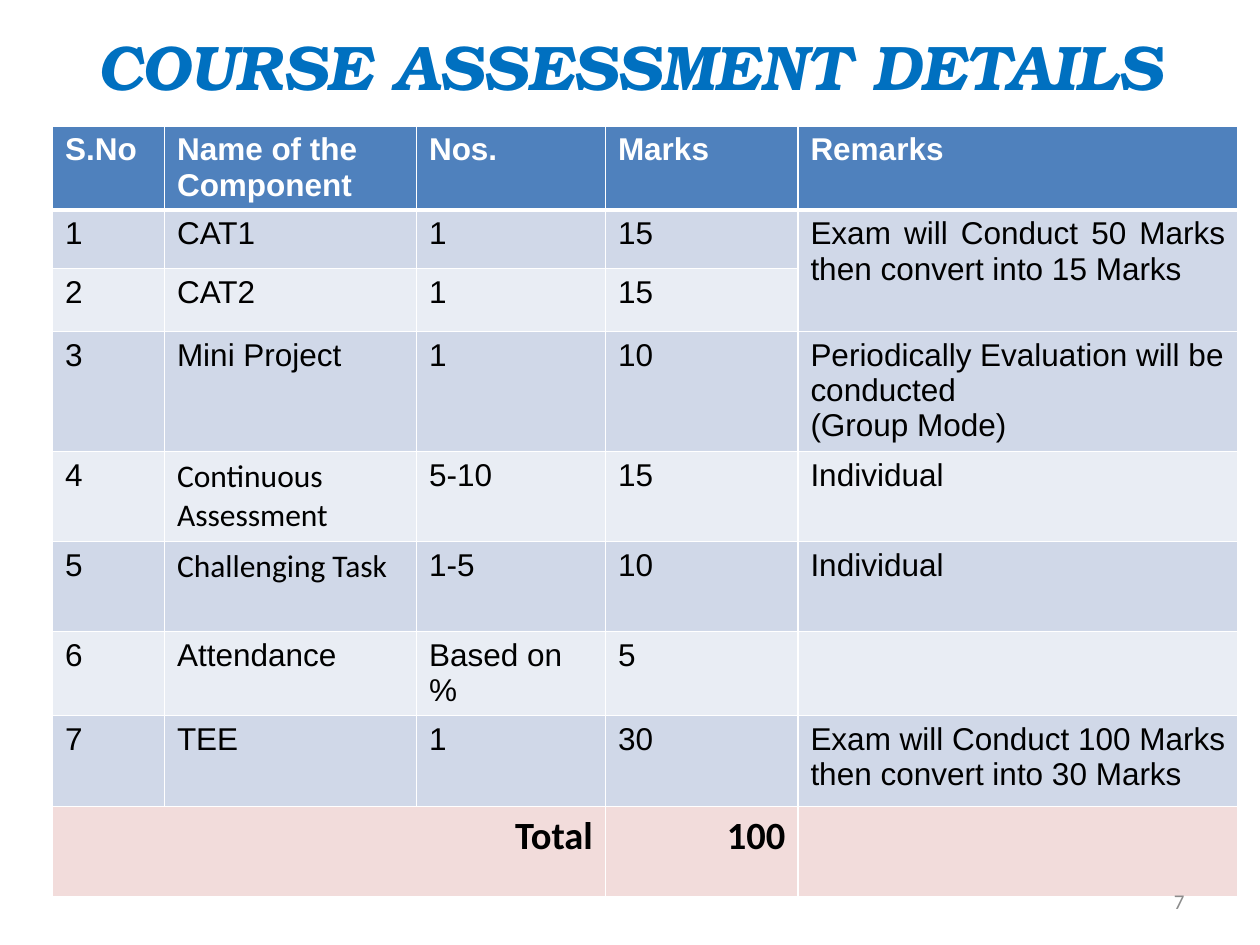
from lxml.etree import SubElement
from pptx import Presentation
from pptx.dml.color import RGBColor
from pptx.enum.text import MSO_ANCHOR, PP_ALIGN
from pptx.oxml.ns import qn
from pptx.util import Pt

WHITE = RGBColor(0xFF, 0xFF, 0xFF)
BLACK = RGBColor(0, 0, 0)
GRAY = RGBColor(0x8C, 0x8C, 0x8C)
TITLE_BLUE = RGBColor(0x00, 0x70, 0xC0)
HEADER_BLUE = RGBColor(0x4F, 0x81, 0xBD)
BANDS = [RGBColor(0xE9, 0xED, 0xF4), RGBColor(0xD0, 0xD8, 0xE8)]
TOTAL_PINK = RGBColor(0xF2, 0xDC, 0xDB)

COLUMN_WIDTHS = [64, 144, 108, 110, 251.5]
ROW_HEIGHTS = [48, 33.5, 36, 67.5, 51.5, 51.5, 48, 52, 51.5]
ROWS = [
    ["S.No", "Name of the\nComponent", "Nos.", "Marks", "Remarks"],
    ["1", "CAT1", "1", "15", "Exam will Conduct 50 Marks then convert into 15 Marks"],
    ["2", "CAT2", "1", "15", ""],
    ["3", "Mini Project", "1", "10",
     "Periodically Evaluation will be conducted\n(Group Mode)"],
    ["4", "Continuous Assessment", "5-10", "15", "Individual"],
    ["5", "Challenging Task", "1-5", "10", "Individual"],
    ["6", "Attendance", "Based on %", "5", ""],
    ["7", "TEE", "1", "30", "Exam will Conduct 100 Marks then convert into 30 Marks"],
    ["Total", "", "", "100", ""],
]
CALIBRI_COMPONENTS = {"Continuous Assessment", "Challenging Task"}
TOTAL_ROW = len(ROWS) - 1


def write(frame, text, font_name, size, color, bold=False, italic=False,
          align=PP_ALIGN.LEFT):
    """Fill a text frame with one paragraph per line of text."""
    for index, line in enumerate(text.split("\n")):
        paragraph = frame.paragraphs[0] if index == 0 else frame.add_paragraph()
        paragraph.alignment = align
        if line:
            run = paragraph.add_run()
            run.text = line
            run.font.name = font_name
            run.font.size = Pt(size)
            run.font.color.rgb = color
            run.font.bold = bold
            run.font.italic = italic


def add_borders(cell, top, bottom):
    """Draw white cell borders; must come before the fill, as the schema orders them."""
    properties = cell._tc.get_or_add_tcPr()
    for side, width in (("L", 1), ("R", 1), ("T", top), ("B", bottom)):
        line = SubElement(properties, qn(f"a:ln{side}"), w=str(Pt(width)))
        fill = SubElement(line, qn("a:solidFill"))
        SubElement(fill, qn("a:srgbClr"), val=str(WHITE))


presentation = Presentation()
presentation.slide_width = Pt(720)
presentation.slide_height = Pt(540)
slide = presentation.slides.add_slide(presentation.slide_layouts[6])

title = slide.shapes.add_textbox(Pt(36), Pt(12), Pt(648), Pt(50.4)).text_frame
title.word_wrap = True
title.vertical_anchor = MSO_ANCHOR.MIDDLE
write(title, "COURSE ASSESSMENT DETAILS", "TeX Gyre Bonum", 36, TITLE_BLUE,
      bold=True, italic=True, align=PP_ALIGN.CENTER)

assessment = slide.shapes.add_table(
    len(ROWS), len(COLUMN_WIDTHS), Pt(30), Pt(72),
    Pt(sum(COLUMN_WIDTHS)), Pt(sum(ROW_HEIGHTS))).table
for column, width in zip(assessment.columns, COLUMN_WIDTHS):
    column.width = Pt(width)
for row, height in zip(assessment.rows, ROW_HEIGHTS):
    row.height = Pt(height)

for r, texts in enumerate(ROWS):
    for c, text in enumerate(texts):
        cell = assessment.cell(r, c)
        # Without a bottom margin the rows keep the heights set above.
        cell.margin_bottom = Pt(0)
        add_borders(cell, top=3 if r == 1 else 1, bottom=3 if r == 0 else 1)
        cell.fill.solid()
        if r == 0:
            cell.fill.fore_color.rgb = HEADER_BLUE
            write(cell.text_frame, text, "Arial", 18, WHITE, bold=True)
        elif r == TOTAL_ROW:
            cell.fill.fore_color.rgb = TOTAL_PINK
            write(cell.text_frame, text, "Calibri", 22, BLACK, bold=True,
                  align=PP_ALIGN.RIGHT)
        else:
            cell.fill.fore_color.rgb = BANDS[r % 2]
            font_name = "Calibri" if text in CALIBRI_COMPONENTS else "Arial"
            write(cell.text_frame, text, font_name, 18, BLACK)

cat_remark = assessment.cell(1, 4)
cat_remark.text_frame.paragraphs[0].alignment = PP_ALIGN.JUSTIFY
cat_remark.merge(assessment.cell(2, 4))
assessment.cell(TOTAL_ROW, 0).merge(assessment.cell(TOTAL_ROW, 2))

page_number = slide.shapes.add_textbox(Pt(516), Pt(500.5), Pt(168), Pt(28.75)).text_frame
page_number.word_wrap = True
page_number.vertical_anchor = MSO_ANCHOR.MIDDLE
write(page_number, "7", "Calibri", 12, GRAY, align=PP_ALIGN.RIGHT)

presentation.save("out.pptx")
